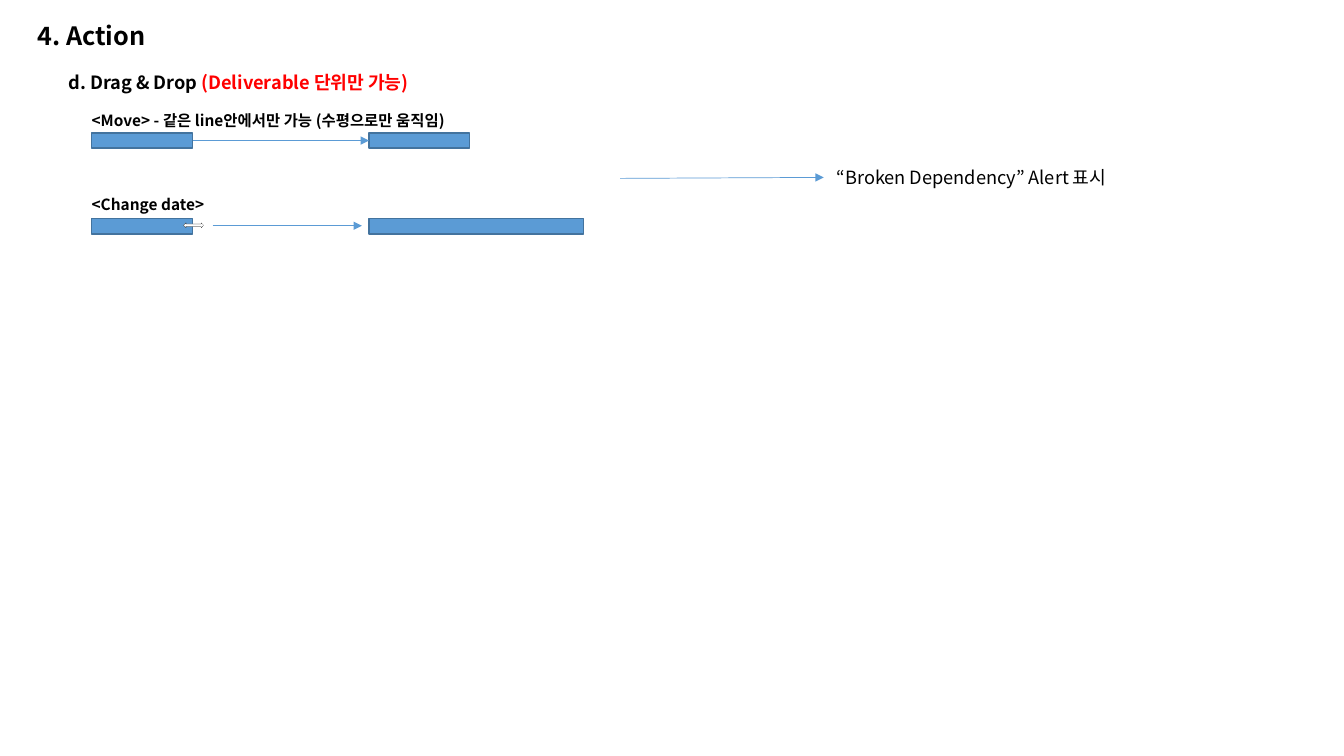
from lxml import etree
from pptx import Presentation
from pptx import util as u
from pptx.dml.color import RGBColor
from pptx.enum import shapes, text
from pptx.oxml import ns

BLACK = RGBColor(0x00, 0x00, 0x00)
WHITE = RGBColor(0xFF, 0xFF, 0xFF)
RED = RGBColor(0xFF, 0x00, 0x00)
BLUE = RGBColor(0x5B, 0x9B, 0xD5)
DARK_BLUE = RGBColor(0x43, 0x73, 0x9E)


def px(length):
    """Turn px, at 100 to the inch, into EMU."""
    return u.Emu(length * 9144)


class SlideBuilder:
    """Draws styled elements on one slide."""

    font_name = "Noto Sans CJK KR"

    def __init__(self, page):
        """Keep the slide to draw on."""
        self.page = page

    def set_text(self, box, spans, size, bold, wrap):
        """Fill a box with one paragraph of (words, colour) spans."""
        frame = box.text_frame
        frame.word_wrap = wrap
        frame.auto_size = text.MSO_AUTO_SIZE.NONE
        frame.vertical_anchor = text.MSO_ANCHOR.TOP
        para = frame.paragraphs[0]
        para.alignment = text.PP_ALIGN.LEFT
        para.font.name = self.font_name
        para.font.size = u.Pt(size)
        para.font.bold = bold
        para.font.color.rgb = BLACK
        defaults = para._p.pPr.find(ns.qn("a:defRPr"))
        etree.SubElement(defaults, ns.qn("a:ea"), typeface=self.font_name)
        for words, colour in spans:
            span = para.add_run()
            span.text = words
            if colour != BLACK:
                span.font.color.rgb = colour

    def title(self, words, left, top, width, height):
        """Move and fill the title placeholder."""
        box = self.page.shapes.title
        box.left, box.top, box.width, box.height = map(px, (left, top, width, height))
        self.set_text(box, [(words, BLACK)], 18, True, False)

    def label(self, spans, left, top, width, height, size, bold=True, wrap=True):
        """Add a text box."""
        box = self.page.shapes.add_textbox(*map(px, (left, top, width, height)))
        self.set_text(box, spans, size, bold, wrap)

    def shape(self, kind, left, top, width, height, fill, line, weight):
        """Add a preset shape with a fill and an outline."""
        shape = self.page.shapes.add_shape(kind, *map(px, (left, top, width, height)))
        shape.shadow.inherit = False
        shape.fill.solid()
        shape.fill.fore_color.rgb = fill
        shape.line.color.rgb = line
        shape.line.width = u.Pt(weight)
        return shape

    def bar(self, left, top, width=100):
        """Add a schedule bar."""
        return self.shape(shapes.MSO_SHAPE.RECTANGLE, left, top, width, 15, BLUE, DARK_BLUE, 1)

    def arrow(self, x1, y1, x2, y2):
        """Add a thin arrow and return its connector."""
        arrow = self.page.shapes.add_connector(
            shapes.MSO_CONNECTOR.STRAIGHT, *map(px, (x1, y1, x2, y2)))
        arrow.line.color.rgb = BLUE
        arrow.line.width = u.Pt(0.5)
        properties = arrow._element.spPr
        etree.SubElement(properties.find(ns.qn("a:ln")), ns.qn("a:tailEnd"), type="triangle")
        etree.SubElement(properties, ns.qn("a:effectLst"))
        return arrow


def main():
    """Build and save the slide."""
    deck = Presentation()
    deck.slide_width, deck.slide_height = px(1333), px(750)
    builder = SlideBuilder(deck.slides.add_slide(deck.slide_layouts[5]))

    builder.title("4. Action", 27, 15, 128, 40)
    builder.label([("d. Drag & Drop ", BLACK), ("(Deliverable 단위만 가능)", RED)],
                  58, 66, 1025, 32, 13)

    before_move = builder.bar(91, 132)
    after_move = builder.bar(366, 132)
    move = builder.arrow(191, 140, 366, 140)
    move.begin_connect(before_move, 3)
    move.end_connect(after_move, 1)

    builder.bar(91, 217)
    builder.shape(shapes.MSO_SHAPE.LEFT_RIGHT_ARROW, 182, 221, 20, 5, WHITE, BLACK, 0.1)
    builder.bar(366, 217, 213)
    builder.arrow(211, 224, 359, 224)

    builder.label([("<Move> - 같은 line안에서만 가능 (수평으로만 움직임)", BLACK)],
                  81, 105, 433, 29, 11)
    builder.label([("<Change date>", BLACK)], 81, 189, 169, 29, 11)

    builder.arrow(615, 177, 817, 176)
    builder.label([("“Broken Dependency” Alert 표시", BLACK)],
                  820, 160, 291, 32, 13, bold=False, wrap=False)

    deck.save("out.pptx")


if __name__ == "__main__":
    main()
